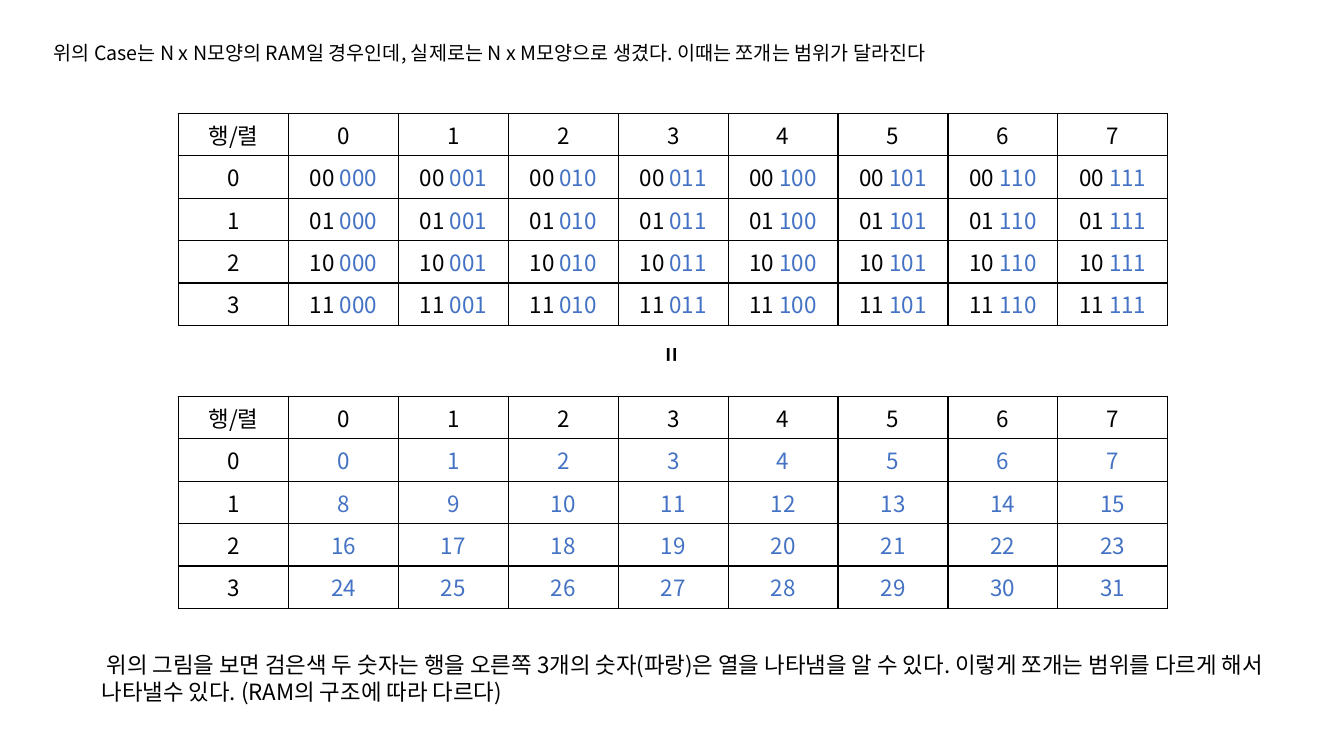
"""Build a slide that compares split RAM addresses with their cell numbers."""
from dataclasses import dataclass

from lxml.etree import SubElement
from pptx import Presentation
from pptx.dml.color import RGBColor
from pptx.enum.text import MSO_ANCHOR, MSO_AUTO_SIZE, PP_ALIGN
from pptx.oxml import parse_xml
from pptx.oxml.ns import nsdecls, qn
from pptx.slide import Slide
from pptx.table import _Cell
from pptx.text.text import _Paragraph
from pptx.util import Cm, Pt


@dataclass(frozen=True)
class Theme:
    font: str = "Noto Sans CJK KR"
    black: str = "000000"
    blue: str = "4472C4"
    small: int = 14
    body: int = 16
    large: int = 18
    line: int = 1


@dataclass(frozen=True)
class Label:
    text: str
    left: float
    top: float
    width: float
    height: float
    size: int
    bold: bool = False
    turn: int = 0


@dataclass(frozen=True)
class Grid:
    top: float
    split: bool


THEME = Theme()
ROWS, COLS = 4, 8
LEFT, WIDTH, HEIGHT = 4.5, 2.77, 1.03

LABELS = (
    Label(" 위의 Case는 N x N모양의 RAM일 경우인데, 실제로는 N x M모양으로 생겼다. "
          "이때는 쪼개는 범위가 달라진다", 0.99, 0.91, 32.89, 0.86, THEME.small),
    Label("=", 16.46, 8.48, 0.99, 1.02, THEME.large, bold=True, turn=90),
    Label(" 위의 그림을 보면 검은색 두 숫자는 행을 오른쪽 3개의 숫자(파랑)은 열을 나타냄을 알 수 있다. "
          "이렇게 쪼개는 범위를 다르게 해서 나타낼수 있다. (RAM의 구조에 따라 다르다)",
          2.31, 16.28, 30.25, 1.63, THEME.body),
)
GRIDS = (Grid(2.86, split=True), Grid(9.99, split=False))


def write(para: _Paragraph, text: str, *, size: int = THEME.body,
          color: str = THEME.black, bold: bool = False) -> None:
    run = para.add_run()
    run.text = text
    font = run.font
    font.size = Pt(size)
    font.bold = bold
    font.color.rgb = RGBColor.from_string(color)
    font.name = THEME.font
    SubElement(run._r.get_or_add_rPr(), qn("a:ea"), typeface=THEME.font)


def add_label(slide: Slide, label: Label) -> None:
    box = slide.shapes.add_textbox(
        Cm(label.left), Cm(label.top), Cm(label.width), Cm(label.height))
    box.rotation = label.turn
    frame = box.text_frame
    frame.word_wrap = True
    frame.auto_size = MSO_AUTO_SIZE.SHAPE_TO_FIT_TEXT
    write(frame.paragraphs[0], label.text, size=label.size, bold=label.bold)


def frame_cell(cell: _Cell) -> None:
    cell.fill.background()
    props = cell._tc.get_or_add_tcPr()
    for spot, side in enumerate("LRTB"):
        props.insert(spot, parse_xml(
            f'<a:ln{side} {nsdecls("a")} w="{Pt(THEME.line)}"><a:solidFill>'
            f'<a:srgbClr val="{THEME.black}"/></a:solidFill></a:ln{side}>'))


def get_parts(row: int, col: int, split: bool) -> list[tuple[str, str]]:
    if row == 0 or col == 0:
        text = "행/렬" if row == col else str(max(row, col) - 1)
        return [(text, THEME.black)]
    if split:
        return [(f"{row - 1:02b} ", THEME.black), (f"{col - 1:03b}", THEME.blue)]
    return [(str((row - 1) * COLS + col - 1), THEME.blue)]


def add_grid(slide: Slide, grid: Grid) -> None:
    rows, cols = ROWS + 1, COLS + 1
    table = slide.shapes.add_table(
        rows, cols, Cm(LEFT), Cm(grid.top),
        Cm(WIDTH * cols), Cm(HEIGHT * rows)).table
    table.first_row = table.horz_banding = False
    for column in table.columns:
        column.width = Cm(WIDTH)
    for row, line in enumerate(table.rows):
        line.height = Cm(HEIGHT)
        for col, cell in enumerate(line.cells):
            frame_cell(cell)
            cell.vertical_anchor = MSO_ANCHOR.MIDDLE
            para = cell.text_frame.paragraphs[0]
            para.alignment = PP_ALIGN.CENTER
            for text, color in get_parts(row, col, grid.split):
                write(para, text, color=color)


def main() -> None:
    deck = Presentation()
    deck.slide_width, deck.slide_height = Cm(33.87), Cm(19.05)
    slide = deck.slides.add_slide(deck.slide_layouts[6])
    for grid in GRIDS:
        add_grid(slide, grid)
    for label in LABELS:
        add_label(slide, label)
    deck.save("out.pptx")


if __name__ == "__main__":
    main()
